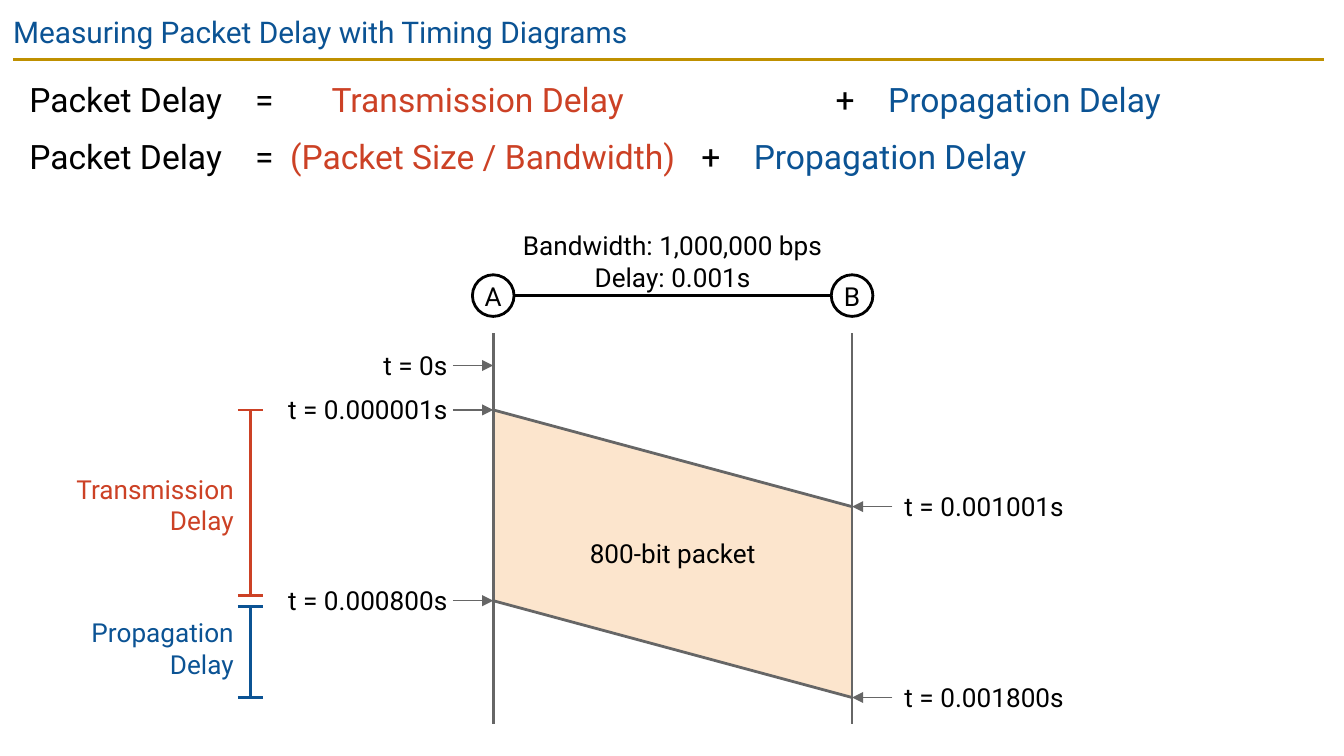
from lxml import etree
from pptx import Presentation, util as u
from pptx.dml.color import RGBColor
from pptx.enum import shapes, text
from pptx.oxml.ns import qn

W = 10
H = W * 9 / 16
RED, BLUE, GREY, BLACK = "CC4125", "0B5394", "666666", "000000"
GOLD, PEACH, WHITE = "BF9000", "FCE5CD", "FFFFFF"
LEFT, RIGHT, MID = text.PP_ALIGN.LEFT, text.PP_ALIGN.RIGHT, text.PP_ALIGN.CENTER

TITLE = "Measuring Packet Delay with Timing Diagrams"
SUMS = [
    ("Transmission Delay", (1.68, 2.25, 6, 6.39)),
    ("(Packet Size / Bandwidth)", (1.68, 1.94, 5, 5.39)),
]
LINK = "Bandwidth: 1,000,000 bps\nDelay: 0.001s"
PACKET = "800-bit packet"
AX, BX = 3.67, 6.34
NODES = [("A", AX), ("B", BX)]
START, FIRST, LAST = 2.72, 3.05, 4.47
LAG = 0.72
TIMES = [
    ("t = 0s", "A", START),
    ("t = 0.000001s", "A", FIRST),
    ("t = 0.000800s", "A", LAST),
    ("t = 0.001001s", "B", FIRST + LAG),
    ("t = 0.001800s", "B", LAST + LAG),
]
SPANS = [
    ("Transmission Delay", RED, FIRST, LAST - 0.04, 3.49),
    ("Propagation Delay", BLUE, LAST + 0.04, LAST + LAG, 4.56),
]
RULE_Y, NODE_Y, NODE_D = 0.44, 2.2, 0.31
AXIS = (2.48, 5.39)
ARROW, GAP, ROW = 0.3, 0.04, 0.24
CAPS = (1.77, 1.96)


def rgb(code):
    return RGBColor.from_string(code)


def style(run, color, size=14):
    run.font.name, run.font.size = "Roboto", u.Pt(size)
    run.font.color.rgb = rgb(color)


def write(frame, words, color=BLACK, size=14, align=LEFT, pad=0):
    frame.word_wrap = True
    frame.margin_left = frame.margin_right = u.Inches(pad)
    frame.margin_top = frame.margin_bottom = u.Inches(pad)
    frame.text = words
    for para in frame.paragraphs:
        para.alignment = align
        for run in para.runs:
            style(run, color, size)


def label(x, y, w, h, words, **look):
    box = slide.shapes.add_textbox(*map(u.Inches, (x, y, w, h)))
    write(box.text_frame, words, **look)
    return box.text_frame


def line(x1, y1, x2, y2, color=GREY, width=1.5, head=False, home=None):
    bar = (home or slide).shapes.add_connector(
        shapes.MSO_CONNECTOR.STRAIGHT, *map(u.Inches, (x1, y1, x2, y2)))
    bar.line.color.rgb, bar.line.width = rgb(color), u.Pt(width)
    if head:
        etree.SubElement(bar.line._get_or_add_ln(), qn("a:tailEnd"), type="triangle")
    etree.SubElement(bar._element.spPr, qn("a:effectLst"))


def stops(para, places):
    tabs = etree.SubElement(para._p.get_or_add_pPr(), qn("a:tabLst"))
    for place in places:
        etree.SubElement(tabs, qn("a:tab"), pos=str(u.Inches(place)), algn="l")


deck = Presentation()
deck.slide_width, deck.slide_height = u.Inches(W), u.Inches(H)
slide = deck.slides.add_slide(deck.slide_layouts[6])

line(0.1, RULE_Y, 9.85, RULE_Y, GOLD)

pts = [(u.Inches(x), u.Inches(y)) for x, y in
       [(AX, FIRST), (BX, FIRST + LAG), (BX, LAST + LAG), (AX, LAST)]]
pen = slide.shapes.build_freeform(*pts[0])
pen.add_line_segments(pts[1:], close=True)
body = pen.convert_to_shape()
body.shadow.inherit = False
body.fill.solid()
body.fill.fore_color.rgb = rgb(PEACH)
body.line.fill.background()

frame = label(0.12, RULE_Y, 9.74, 1.11, "", pad=0.1)
for i, (term, places) in enumerate(SUMS):
    para = frame.add_paragraph() if i else frame.paragraphs[0]
    stops(para, places)
    para.line_spacing = 1.15
    para.space_before = u.Pt(6 if i else 0)
    for words, color in [("Packet Delay\t=\t", BLACK), (term, RED),
                         ("\t+\t", BLACK), ("Propagation Delay", BLUE)]:
        run = para.add_run()
        run.text = words
        style(run, color, 18)

label(0, 0, W, 0.43, TITLE, color=BLUE, size=16, pad=0.1)

line(AX, NODE_Y, BX, NODE_Y, BLACK)
for name, x in NODES:
    line(x, AXIS[0], x, AXIS[1])
    node = slide.shapes.add_shape(
        shapes.MSO_SHAPE.OVAL,
        *map(u.Inches, (x - NODE_D / 2, NODE_Y - NODE_D / 2, NODE_D, NODE_D)))
    node.shadow.inherit = False
    node.fill.solid()
    node.fill.fore_color.rgb = rgb(WHITE)
    node.line.color.rgb, node.line.width = rgb(BLACK), u.Pt(1.5)
    write(node.text_frame, name, align=MID)
    node.text_frame.vertical_anchor = text.MSO_ANCHOR.MIDDLE

for y in (FIRST, LAST):
    line(AX, y, BX, y + LAG)

label(AX, 1.68, BX - AX, 0.53, LINK, align=MID, pad=0.03)
label(AX, 3.97, BX - AX, 0.3, PACKET, align=MID, pad=0.03)

for words, side, y in TIMES:
    top = y - ROW / 2
    if side == "A":
        line(AX - ARROW, y, AX, y, width=0.75, head=True)
        label(2.01, top, AX - ARROW - GAP - 2.01, ROW, words, align=RIGHT)
    else:
        line(BX + ARROW, y, BX, y, width=0.75, head=True)
        label(6.73, top, 1.27, ROW, words)

for words, color, top, low, y in SPANS:
    group = slide.shapes.add_group_shape()
    for end in (top, low):
        line(CAPS[0], end, CAPS[1], end, color, home=group)
    mid = sum(CAPS) / 2
    line(mid, low, mid, top, color, home=group)
    label(0.5, y, 1.27, 0.53, words, color=color, align=RIGHT, pad=0.03)

deck.save("out.pptx")
